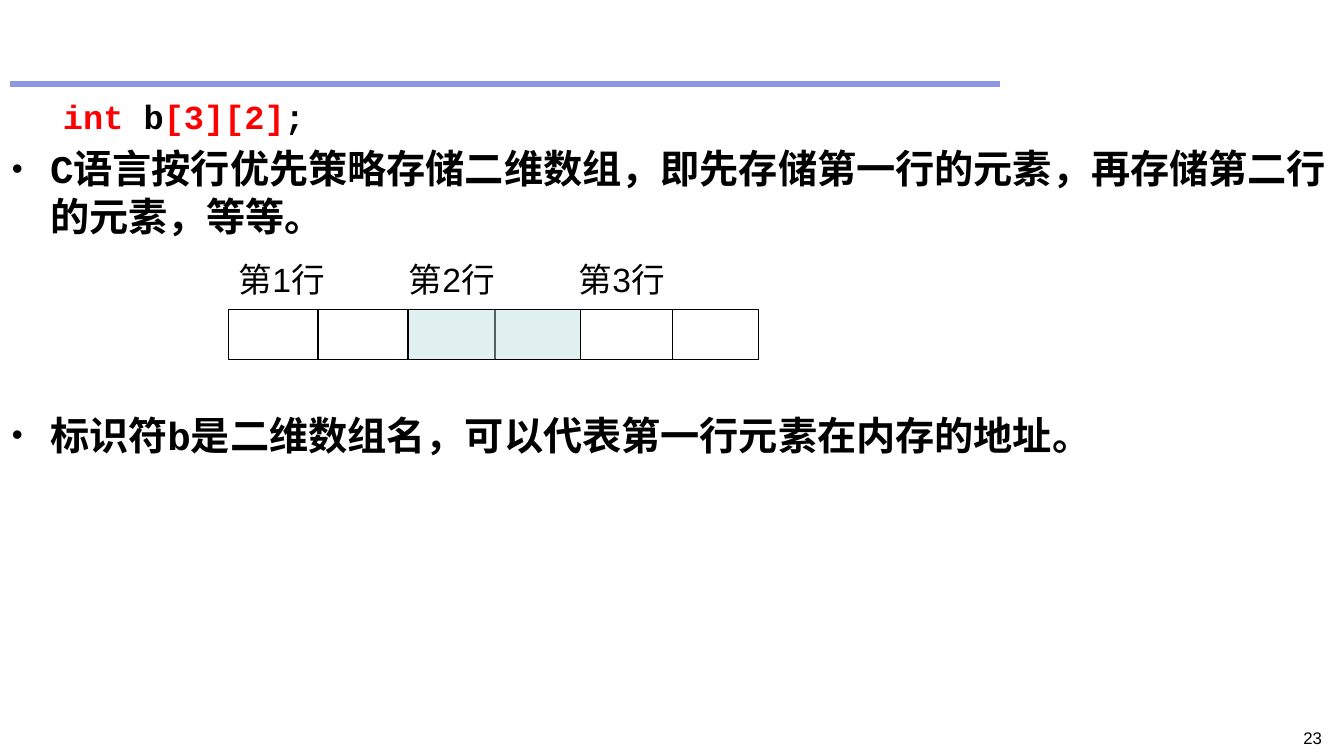
from pptx import Presentation
from pptx.dml.color import RGBColor
from pptx.enum.shapes import MSO_CONNECTOR, MSO_SHAPE
from pptx.enum.text import MSO_ANCHOR, MSO_AUTO_SIZE, PP_ALIGN
from pptx.oxml.ns import qn
from pptx.util import Pt
from lxml import etree

STRAIGHT = MSO_CONNECTOR.STRAIGHT
RECTANGLE = MSO_SHAPE.RECTANGLE
BLACK = RGBColor(0x00, 0x00, 0x00)
WHITE = RGBColor(0xFF, 0xFF, 0xFF)
RED = RGBColor(0xFF, 0x00, 0x00)
RULE_BLUE = RGBColor(0x8D, 0x97, 0xE5)
ROW_TINT = RGBColor(0xBB, 0xE0, 0xE3)
EMU_PER_PX = 914400 / 100.8


def px(*lengths):
    return [round(length * EMU_PER_PX) for length in lengths]


def add_line(x1, y1, x2, y2, color, width):
    line = slide.shapes.add_connector(STRAIGHT, *px(x1, y1, x2, y2))
    line.line.color.rgb = color
    line.line.width = Pt(width)
    etree.SubElement(line._element.spPr, qn("a:effectLst"))


prs = Presentation()
prs.slide_width, prs.slide_height = px(1344, 756)
slide = prs.slides.add_slide(prs.slide_layouts[1])
title, body = slide.placeholders
title._element.getparent().remove(title._element)

add_line(10, 84, 1000, 84, RULE_BLUE, 4.5)

# Declaration and the two bullets
body.left, body.top, body.width, body.height = px(10, 95, 1322, 656)
frame = body.text_frame
frame.word_wrap = True
frame.auto_size = MSO_AUTO_SIZE.NONE
frame.vertical_anchor = MSO_ANCHOR.TOP
frame.margin_left, frame.margin_top, frame.margin_right, frame.margin_bottom = px(2, 1, 2, 1)

CODE = [("int ", RED), ("b", BLACK), ("[3][2]", RED), (";", BLACK)]
ROW_MAJOR = [("C语言按行优先策略存储二维数组，即先存储第一行的元素，再存储第二行的元素，等等。", BLACK)]
ARRAY_NAME = [("标识符b是二维数组名，可以代表第一行元素在内存的地址。", BLACK)]
# runs, size, space before, left margin, first-line indent, bulleted
PARAGRAPHS = [
    (CODE, 24, 5, 82, -31, False),
    (ROW_MAJOR, 28, 6, 38, -38, True),
    (ARRAY_NAME, 28, 123, 38, -38, True),
]
for i, (runs, size, before, margin, indent, bulleted) in enumerate(PARAGRAPHS):
    paragraph = frame.paragraphs[0] if i == 0 else frame.add_paragraph()
    paragraph.level = 0 if bulleted else 1
    paragraph.space_before = Pt(before)
    props = paragraph._p.get_or_add_pPr()
    left, first = px(margin, indent)
    props.set("marL", str(left))
    props.set("indent", str(first))
    if bulleted:
        etree.SubElement(props, qn("a:buSzPct"), val="80000")
        etree.SubElement(props, qn("a:buFont"), typeface="Arial")
        etree.SubElement(props, qn("a:buChar"), char="•")
    else:
        etree.SubElement(props, qn("a:buNone"))
    paragraph.font.name = "Courier New"
    paragraph.font.size = Pt(size)
    paragraph.font.bold = True
    for text, color in runs:
        run = paragraph.add_run()
        run.text = text
        run.font.color.rgb = color

# Memory strip: six cells, the second row tinted
CELL_EDGES = [229, 318, 408, 495, 581, 673, 759]
STRIP_TOP, STRIP_HEIGHT = 310, 50


def add_strip(left, right, color):
    strip = slide.shapes.add_shape(RECTANGLE, *px(left, STRIP_TOP, right - left, STRIP_HEIGHT))
    strip.shadow.inherit = False
    strip.fill.solid()
    strip.fill.fore_color.rgb = color
    strip.line.color.rgb = BLACK
    strip.line.width = Pt(0.75)
    return strip


add_strip(CELL_EDGES[0], CELL_EDGES[-1], WHITE)
for x in CELL_EDGES[1:-1]:
    add_line(x, STRIP_TOP, x, STRIP_TOP + STRIP_HEIGHT, BLACK, 0.75)
second_row = add_strip(CELL_EDGES[2], CELL_EDGES[4], ROW_TINT)
tint = second_row._element.spPr.find(qn("a:solidFill"))[0]
etree.SubElement(tint, qn("a:alpha"), val="44000")

# Row labels and slide number: text, left, top, width, height, size, alignment
LABELS = [(f"第{n + 1}行", 229 + 170 * n, 254, 130, 51, 24, PP_ALIGN.LEFT) for n in range(3)]
LABELS.append(("23", 1200, 723, 132, 25, 12, PP_ALIGN.RIGHT))
for text, left, top, width, height, size, alignment in LABELS:
    label = slide.shapes.add_textbox(*px(left, top, width, height)).text_frame
    label.word_wrap = True
    paragraph = label.paragraphs[0]
    paragraph.text = text
    paragraph.alignment = alignment
    paragraph.font.name = "Arial"
    paragraph.font.size = Pt(size)
    paragraph.font.color.rgb = BLACK

prs.save("out.pptx")
